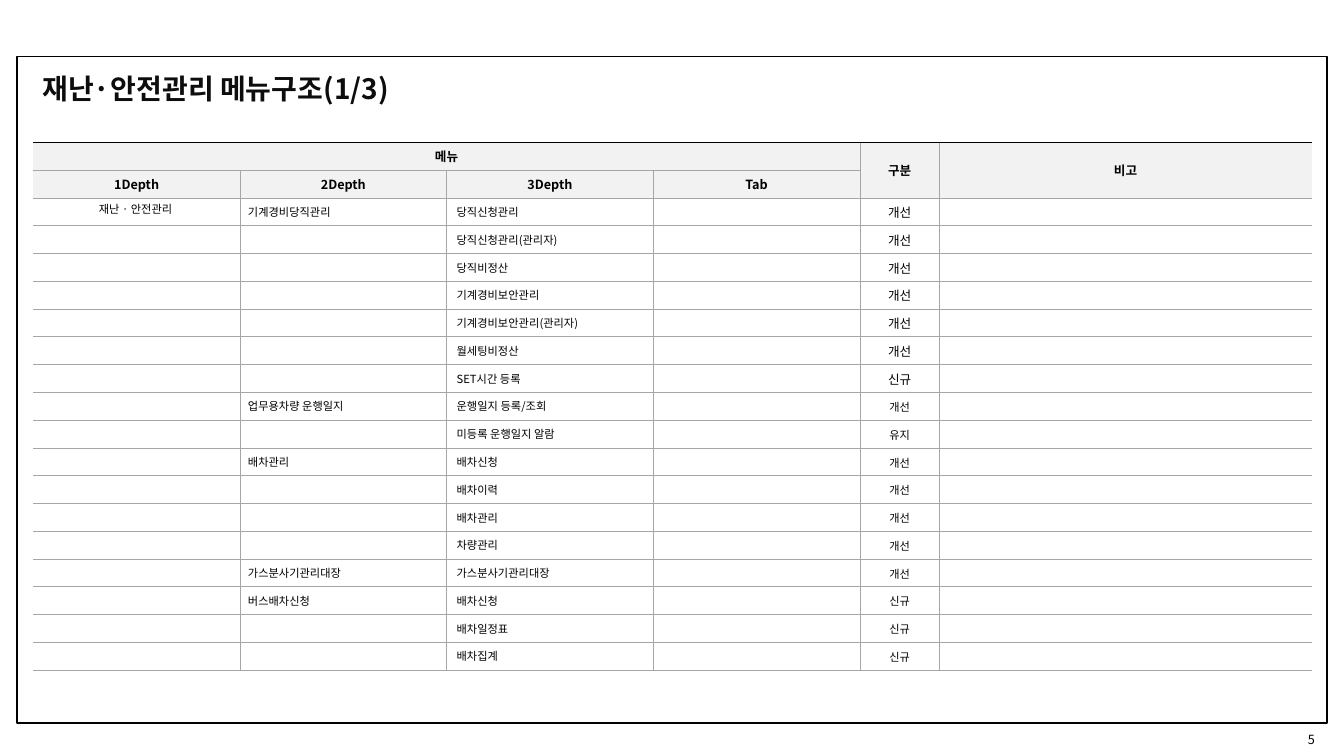
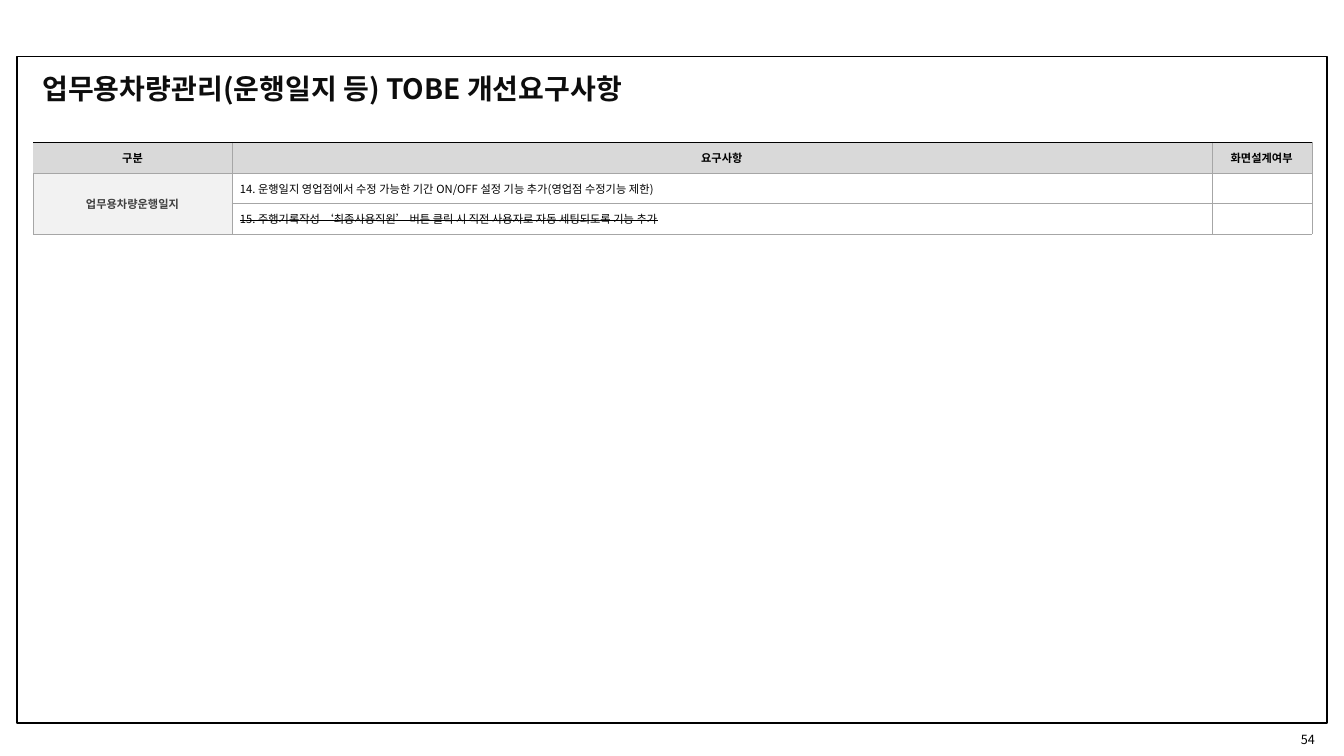
"""Build two slides: a menu structure table and a requirements table."""
import pptx
import pptx.util
import pptx.dml.color
import pptx.enum.shapes
import pptx.enum.text
import pptx.oxml.ns
from lxml import etree

Inches = pptx.util.Inches
Pt = pptx.util.Pt
qn = pptx.oxml.ns.qn
ALIGN = pptx.enum.text.PP_ALIGN
MIDDLE = pptx.enum.text.MSO_ANCHOR.MIDDLE

FONT = "Noto Sans CJK KR"
BLACK, TITLE_INK, LABEL_INK = "000000", "0D0D0D", "404040"
GRID, LIGHT, HEADER = "A6A6A6", "F2F2F2", "D9D9D9"
TABLE_LEFT, TABLE_TOP, TABLE_WIDTH = 0.33, 1.41, 12.68

MENU_HEADS = ["1Depth", "2Depth", "3Depth", "Tab"]
MENU_WIDTHS = [2.05, 2.05, 2.05, 2.05, 0.79, 3.69]
MENU_ROWS = [
    ("기계경비당직관리", "당직신청관리", "개선"),
    ("", "당직신청관리(관리자)", "개선"),
    ("", "당직비정산", "개선"),
    ("", "기계경비보안관리", "개선"),
    ("", "기계경비보안관리(관리자)", "개선"),
    ("", "월세팅비정산", "개선"),
    ("", "SET시간 등록", "신규"),
    ("업무용차량 운행일지", "운행일지 등록/조회", "개선"),
    ("", "미등록 운행일지 알람", "유지"),
    ("배차관리", "배차신청", "개선"),
    ("", "배차이력", "개선"),
    ("", "배차관리", "개선"),
    ("", "차량관리", "개선"),
    ("가스분사기관리대장", "가스분사기관리대장", "개선"),
    ("버스배차신청", "배차신청", "신규"),
    ("", "배차일정표", "신규"),
    ("", "배차집계", "신규"),
]
LARGE_STATUS_ROWS = 7

REQUIREMENT_HEADS = ["구분", "요구사항", "화면설계여부"]
REQUIREMENT_WIDTHS = [1.97, 9.72, 0.99]
REQUIREMENTS = [
    ("14. 운행일지 영업점에서 수정 가능한 기간 ON/OFF 설정 기능 추가(영업점 수정기능 제한)", False),
    ("15. 주행기록작성 ‘최종사용직원’ 버튼 클릭 시 직전 사용자로 자동 세팅되도록 기능 추가", True),
]


def color(value):
    """Return the RGB colour of a hex string."""
    return pptx.dml.color.RGBColor.from_string(value)


def assign(target, values):
    """Set each attribute named in a dict."""
    for name, value in values.items():
        setattr(target, name, value)


def write(frame, text, size, ink=BLACK, bold=False, align=ALIGN.LEFT, strike=False):
    """Write one formatted line of text into a text frame."""
    paragraph = frame.paragraphs[0]
    paragraph.alignment = align
    run = paragraph.add_run()
    run.text = text
    assign(run.font, {"name": FONT, "size": Pt(size), "bold": bold})
    run.font.color.rgb = color(ink)
    properties = run.font._element
    etree.SubElement(properties, qn("a:ea"), typeface=FONT)
    if strike:
        properties.set("strike", "sngStrike")
    return paragraph


def set_borders(cell, hidden=""):
    """Draw thin grey cell borders, leaving out the hidden sides."""
    properties = cell._tc.get_or_add_tcPr()
    for side in "LRTB":
        line = etree.SubElement(properties, qn("a:ln" + side), w=str(Pt(0.25)))
        if side in hidden:
            etree.SubElement(line, qn("a:noFill"))
        else:
            fill = etree.SubElement(line, qn("a:solidFill"))
            etree.SubElement(fill, qn("a:srgbClr"), val=GRID)


def fill_cell(cell, text="", size=8, fill=None, margins=(0.1, 0.02, 0.1, 0.02), **style):
    """Give a cell its text, margins and fill."""
    cell.vertical_anchor = MIDDLE
    sides = ("margin_left", "margin_top", "margin_right", "margin_bottom")
    assign(cell, dict(zip(sides, map(Inches, margins))))
    if text:
        write(cell.text_frame, text, size, **style)
    if fill:
        cell.fill.solid()
        cell.fill.fore_color.rgb = color(fill)


def add_grid(slide, widths, heights, hidden_sides):
    """Add a plain bordered table of empty cells."""
    shape = slide.shapes.add_table(
        len(heights), len(widths), Inches(TABLE_LEFT), Inches(TABLE_TOP),
        Inches(TABLE_WIDTH), Inches(sum(heights)))
    table = shape.table
    assign(table, {"first_row": False, "horz_banding": False})
    for column, width in zip(table.columns, widths):
        column.width = Inches(width)
    for index, (row, height) in enumerate(zip(table.rows, heights)):
        row.height = Inches(height)
        for position, cell in enumerate(row.cells):
            set_borders(cell, hidden_sides(index, position))
            cell.fill.background()
            fill_cell(cell)
            paragraph = cell.text_frame.paragraphs[0]
            etree.SubElement(paragraph._p, qn("a:endParaRPr"), sz="800")
    return table


def add_page(presentation, title, title_width, number):
    """Add a slide with its frame, title and page number."""
    slide = presentation.slides.add_slide(presentation.slide_layouts[5])
    frame = slide.shapes.add_shape(
        pptx.enum.shapes.MSO_SHAPE.RECTANGLE,
        Inches(0.17), Inches(0.56), Inches(12.99), Inches(6.61))
    frame.shadow.inherit = False
    frame.fill.background()
    frame.line.color.rgb = color(BLACK)
    frame.line.width = Pt(1.3)

    heading = slide.shapes.title
    assign(heading, {"left": Inches(0.32), "top": Inches(0.69),
                     "width": Inches(title_width), "height": Inches(0.44)})
    assign(heading.text_frame, {
        "word_wrap": True, "vertical_anchor": MIDDLE,
        "auto_size": pptx.enum.text.MSO_AUTO_SIZE.NONE})
    write(heading.text_frame, title, 20, TITLE_INK, True).line_spacing = 0.8

    page = slide.shapes.add_textbox(Inches(12.44), Inches(7.18), Inches(0.69), Inches(0.31))
    assign(page.text_frame, {
        "word_wrap": True, "vertical_anchor": MIDDLE,
        "margin_left": Inches(0.09), "margin_right": Inches(0.09)})
    write(page.text_frame, str(number), 9, align=ALIGN.RIGHT)
    return slide


def add_top_rule(slide):
    """Draw the black rule along the top of the table."""
    rule = slide.shapes.add_connector(
        pptx.enum.shapes.MSO_CONNECTOR.STRAIGHT, Inches(TABLE_LEFT), Inches(TABLE_TOP),
        Inches(TABLE_LEFT + TABLE_WIDTH), Inches(TABLE_TOP))
    rule.line.color.rgb = color(BLACK)
    rule.line.width = Pt(0.5)
    etree.SubElement(rule._element.spPr, qn("a:effectLst"))


def build_menu(presentation):
    """Build the menu structure slide."""
    slide = add_page(presentation, "재난·안전관리 메뉴구조(1/3)", 3.67, 5)
    row_count = len(MENU_ROWS) + 2
    last_column = len(MENU_WIDTHS) - 1
    table = add_grid(slide, MENU_WIDTHS, [5.24 / row_count] * row_count,
                     lambda row, column: {0: "L", last_column: "R"}.get(column, ""))
    header = {"size": 9, "fill": LIGHT, "bold": True, "align": ALIGN.CENTER}
    for text, column, end_row, end_column in (
            ("메뉴", 0, 0, 3), ("구분", 4, 1, 4), ("비고", 5, 1, 5)):
        table.cell(0, column).merge(table.cell(end_row, end_column))
        fill_cell(table.cell(0, column), text, **header)
    for column, text in enumerate(MENU_HEADS):
        fill_cell(table.cell(1, column), text, **header)

    fill_cell(table.cell(2, 0), "재난 · 안전관리", margins=(0.08, 0, 0.1, 0.05),
              align=ALIGN.CENTER)
    for index, (group, menu, status) in enumerate(MENU_ROWS):
        row = index + 2
        fill_cell(table.cell(row, 1), group, margins=(0.08, 0, 0.01, 0))
        fill_cell(table.cell(row, 2), menu)
        fill_cell(table.cell(row, 4), status, 9 if index < LARGE_STATUS_ROWS else 8,
                  margins=(0.01, 0.01, 0.01, 0), align=ALIGN.CENTER)
    add_top_rule(slide)


def build_requirements(presentation):
    """Build the improvement requirements slide."""
    slide = add_page(presentation, "업무용차량관리(운행일지 등) TOBE 개선요구사항", 6.4, 54)
    table = add_grid(slide, REQUIREMENT_WIDTHS, [0.31, 0.3, 0.3],
                     lambda row, column: "L" if row == column == 0 else "")
    margins = (0.08, 0.05, 0.08, 0.05)
    label = {"margins": margins, "bold": True, "align": ALIGN.CENTER}
    for column, text in enumerate(REQUIREMENT_HEADS):
        fill_cell(table.cell(0, column), text, fill=HEADER, **label)
    table.cell(1, 0).merge(table.cell(2, 0))
    fill_cell(table.cell(1, 0), "업무용차량운행일지", fill=LIGHT, ink=LABEL_INK, **label)
    for row, (text, dropped) in enumerate(REQUIREMENTS, 1):
        fill_cell(table.cell(row, 1), text, margins=margins, strike=dropped)
    add_top_rule(slide)


def main():
    """Build and save the presentation."""
    presentation = pptx.Presentation()
    assign(presentation, {"slide_width": Inches(13.33), "slide_height": Inches(7.5)})
    build_menu(presentation)
    build_requirements(presentation)
    presentation.save("out.pptx")


if __name__ == "__main__":
    main()
